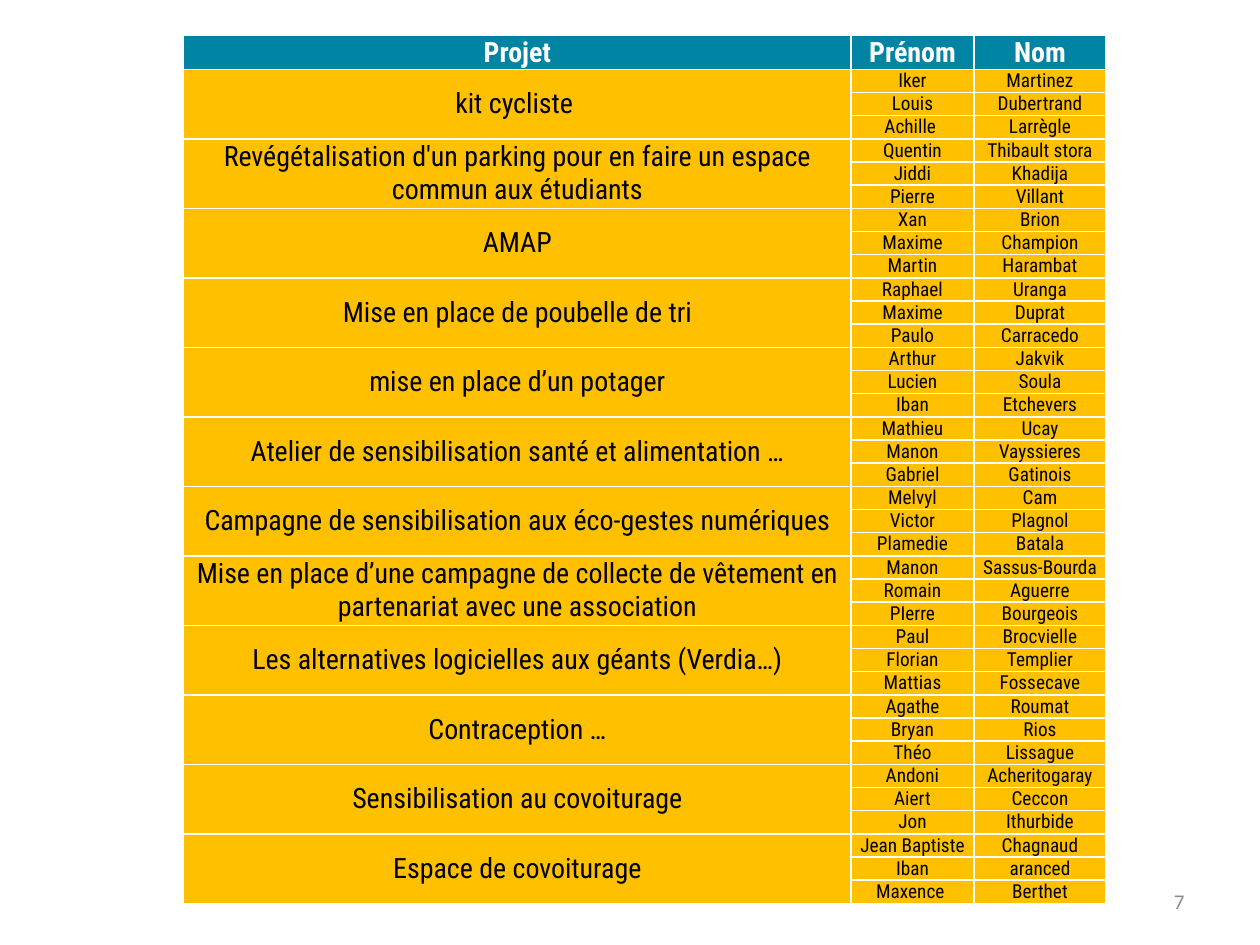
"""Build a slide listing student projects with their members."""
import lxml.etree
import pptx
import pptx.dml.color
import pptx.enum.text
import pptx.oxml.ns
import pptx.util

Cm = pptx.util.Cm
Pt = pptx.util.Pt
ALIGN = pptx.enum.text.PP_ALIGN
ANCHOR = pptx.enum.text.MSO_ANCHOR
TEAL, AMBER, WHITE, BLACK, GREY = "0084A3", "FFC000", "FFFFFF", "000000", "8C8C8C"

projects = [
    ("kit cycliste ", "Iker|Martinez", "Louis|Dubertrand", "Achille |Larrègle"),
    ("Revégétalisation d'un parking pour en faire un espace commun aux étudiants",
     "Quentin|Thibault stora", "Jiddi|Khadija", "Pierre|Villant"),
    ("AMAP", "Xan|Brion", "Maxime|Champion", "Martin|Harambat"),
    ("Mise en place de poubelle de tri",
     "Raphael|Uranga", "Maxime|Duprat", "Paulo|Carracedo"),
    ("mise en place d’un potager", "Arthur|Jakvik", "Lucien|Soula", "Iban|Etchevers"),
    ("Atelier de sensibilisation santé et alimentation …",
     "Mathieu|Ucay", "Manon|Vayssieres", "Gabriel|Gatinois"),
    ("Campagne de sensibilisation aux éco-gestes numériques",
     "Melvyl|Cam", "Victor|Plagnol", "Plamedie|Batala"),
    ("Mise en place d’une campagne de collecte de vêtement en partenariat avec une association",
     "Manon|Sassus-Bourda", "Romain|Aguerre", "PIerre|Bourgeois"),
    ("Les alternatives logicielles aux géants (Verdia…)",
     "Paul|Brocvielle", "Florian|Templier", "Mattias|Fossecave"),
    ("Contraception …", "Agathe|Roumat", "Bryan|Rios", "Théo|Lissague"),
    ("Sensibilisation au covoiturage",
     "Andoni|Acheritogaray", "Aiert|Ceccon", "Jon|Ithurbide"),
    ("Espace de covoiturage", "Jean Baptiste|Chagnaud", "Iban|aranced", "Maxence |Berthet"),
]


def set_font(paragraph, name, size, color, bold=False):
    """Set the font of a whole paragraph."""
    font = paragraph.font
    font.name, font.size, font.bold = name, Pt(size), bold
    font.color.rgb = pptx.dml.color.RGBColor.from_string(color)


def fill_cell(cell, text, size, color, fill, bold=False):
    """Write a centred cell with white borders."""
    properties = cell._tc.get_or_add_tcPr()
    for side in ("a:lnL", "a:lnR", "a:lnT", "a:lnB"):
        line = lxml.etree.SubElement(properties, pptx.oxml.ns.qn(side), w=str(Pt(1)))
        solid = lxml.etree.SubElement(line, pptx.oxml.ns.qn("a:solidFill"))
        lxml.etree.SubElement(solid, pptx.oxml.ns.qn("a:srgbClr"), val=WHITE)
    cell.fill.solid()
    cell.fill.fore_color.rgb = pptx.dml.color.RGBColor.from_string(fill)
    cell.margin_left = cell.margin_right = Cm(0.02)
    cell.margin_top = cell.margin_bottom = 0
    cell.vertical_anchor = ANCHOR.BOTTOM if bold else ANCHOR.MIDDLE
    cell.text = text
    paragraph = cell.text_frame.paragraphs[0]
    paragraph.alignment = ALIGN.CENTER
    set_font(paragraph, "Roboto Condensed", size, color, bold)


deck = pptx.Presentation()
deck.slide_width, deck.slide_height = Cm(25.4), Cm(19.05)
page = deck.slides.add_slide(deck.slide_layouts[6])

number_box = page.shapes.add_textbox(Cm(18.21), Cm(17.65), Cm(5.92), Cm(1.02))
number_box.text_frame.word_wrap = True
number_box.text_frame.vertical_anchor = ANCHOR.MIDDLE
number = number_box.text_frame.paragraphs[0]
number.text = "7"
number.alignment = ALIGN.RIGHT
set_font(number, "Calibri", 12, GREY)

team_size = 3
row_count = 1 + team_size * len(projects)
table = page.shapes.add_table(
    row_count, 3, Cm(3.7), Cm(0.72), Cm(18.6), Cm(17.45)).table
for column, width in zip(table.columns, (13.46, 2.47, 2.67)):
    column.width = Cm(width)
for index, row in enumerate(table.rows):
    row.height = Cm(0.46 if index else 0.65)

for column, heading in enumerate(("Projet", "Prénom", "Nom")):
    fill_cell(table.cell(0, column), heading, 16, WHITE, TEAL, bold=True)

for index, (project, *members) in enumerate(projects):
    top = 1 + team_size * index
    table.cell(top, 0).merge(table.cell(top + team_size - 1, 0))
    for offset, member in enumerate(members):
        fill_cell(table.cell(top + offset, 0), "" if offset else project,
                  11 if offset else 16, BLACK, AMBER)
        for column, name in enumerate(member.split("|"), 1):
            fill_cell(table.cell(top + offset, column), name, 11, BLACK, AMBER)

deck.save("out.pptx")
